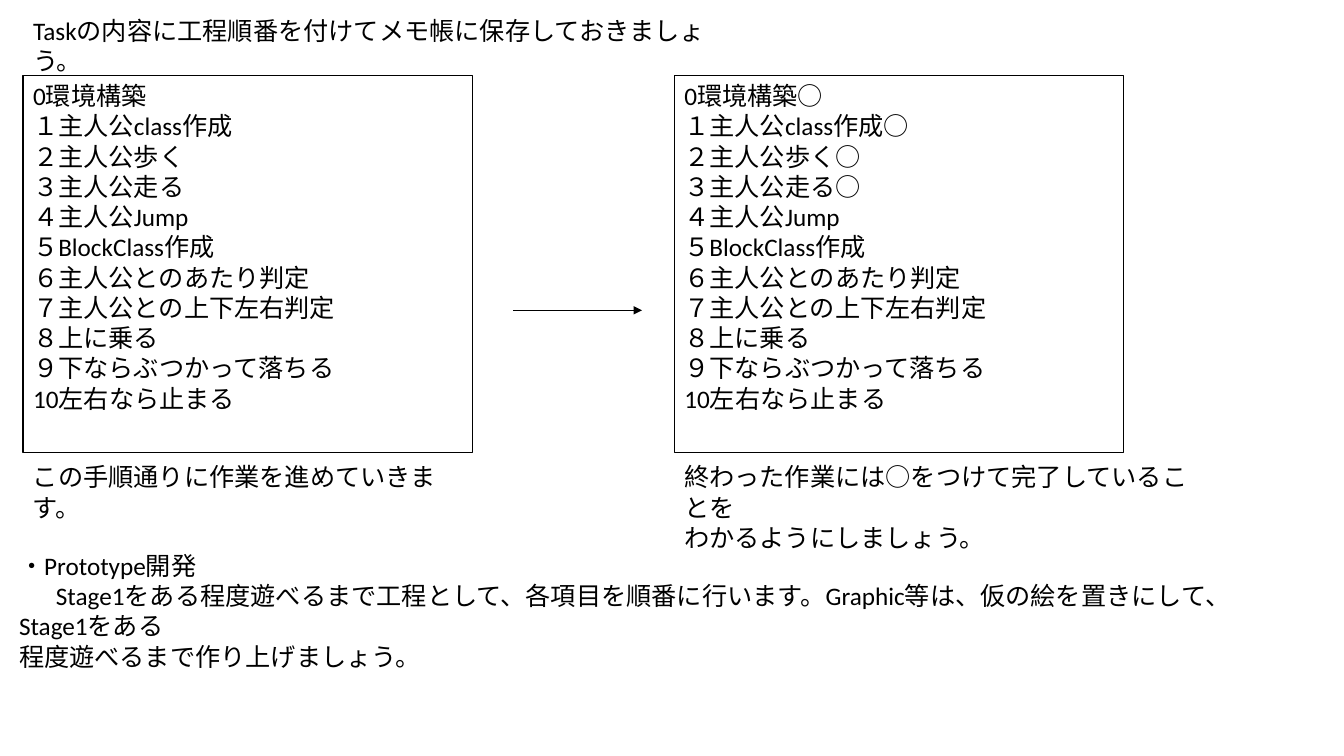
"""Build the slide on numbering tasks and ticking off finished steps."""
from lxml.etree import SubElement
from pptx import Presentation
from pptx.dml.color import RGBColor
from pptx.enum.shapes import MSO_CONNECTOR
from pptx.enum.text import MSO_ANCHOR, MSO_AUTO_SIZE, PP_ALIGN
from pptx.oxml.ns import qn
from pptx.util import Cm, Pt

COLORS = {"ink": "000000", "paper": "FFFFFF"}
INK = RGBColor.from_string(COLORS["ink"])

STEPS = [
    "0環境構築",
    "１主人公class作成",
    "２主人公歩く",
    "３主人公走る",
    "４主人公Jump",
    "５BlockClass作成",
    "６主人公とのあたり判定",
    "７主人公との上下左右判定",
    "８上に乗る",
    "９下ならぶつかって落ちる",
    "10左右なら止まる",
]
DONE_COUNT = 4
PLAN_LEFT, PROGRESS_LEFT = 0.58, 16.99
LIST_TOP, LIST_WIDTH, LIST_HEIGHT = 1.9, 11.33, 9.5
CAPTION_TOP = 11.51


def place(part, left, top, width, height):
    part.left, part.top = Cm(left), Cm(top)
    part.width, part.height = Cm(width), Cm(height)


def write(part, lines):
    frame = part.text_frame
    frame.text = "\n".join(lines)
    frame.word_wrap = True
    frame.auto_size = MSO_AUTO_SIZE.NONE
    frame.vertical_anchor = MSO_ANCHOR.TOP
    for paragraph in frame.paragraphs:
        paragraph.alignment = PP_ALIGN.LEFT
        paragraph.space_before = Pt(0)
        for run in paragraph.runs:
            run.font.name = "Calibri"
            run.font.size = Pt(18)
            run.font.color.rgb = INK


presentation = Presentation()
presentation.slide_width = Cm(33.87)
presentation.slide_height = Cm(19.05)
slide = presentation.slides.add_slide(presentation.slide_layouts[3])
slide.background.fill.solid()
slide.background.fill.fore_color.rgb = RGBColor.from_string(COLORS["paper"])

heading, plan, progress = slide.placeholders
place(heading, PLAN_LEFT, 0.25, 17.45, 1.02)
write(heading, ["Taskの内容に工程順番を付けてメモ帳に保存しておきましょう。"])

progress_steps = [step + "○" for step in STEPS[:DONE_COUNT]] + STEPS[DONE_COUNT:]
for step_list, left, steps in (
    (plan, PLAN_LEFT, STEPS),
    (progress, PROGRESS_LEFT, progress_steps),
):
    place(step_list, left, LIST_TOP, LIST_WIDTH, LIST_HEIGHT)
    write(step_list, steps)
    step_list.line.color.rgb = INK
    step_list.line.width = Pt(0.75)
    for paragraph in step_list.text_frame.paragraphs:
        properties = paragraph._p.get_or_add_pPr()
        properties.set("marL", "0")
        properties.set("indent", "0")
        SubElement(properties, qn("a:buNone"))

arrow_y = Cm(7.82)
arrow = slide.shapes.add_connector(
    MSO_CONNECTOR.STRAIGHT, Cm(12.93), arrow_y, Cm(16.18), arrow_y
)
arrow.line.color.rgb = INK
arrow.line.width = Pt(0.5)
SubElement(arrow.line._get_or_add_ln(), qn("a:tailEnd"), type="triangle")
SubElement(arrow._element.spPr, qn("a:effectLst"))

notes = [
    (PLAN_LEFT, CAPTION_TOP, 11.1, 1.02, ["この手順通りに作業を進めていきます。"]),
    (PROGRESS_LEFT, CAPTION_TOP, 13.49, 1.8, [
        "終わった作業には○をつけて完了していることを",
        "わかるようにしましょう。",
    ]),
    (0.23, 13.74, 32.23, 2.57, [
        "・Prototype開発",
        "Stage1をある程度遊べるまで工程として、各項目を順番に行います。"
        "Graphic等は、仮の絵を置きにして、Stage1をある",
        "程度遊べるまで作り上げましょう。",
    ]),
]
for left, top, width, height, lines in notes:
    note = slide.shapes.add_textbox(Cm(left), Cm(top), Cm(width), Cm(height))
    write(note, lines)

prototype_details = note.text_frame.paragraphs[1]
prototype_details._p.get_or_add_pPr().set("indent", str(Cm(0.93)))

presentation.save("out.pptx")
